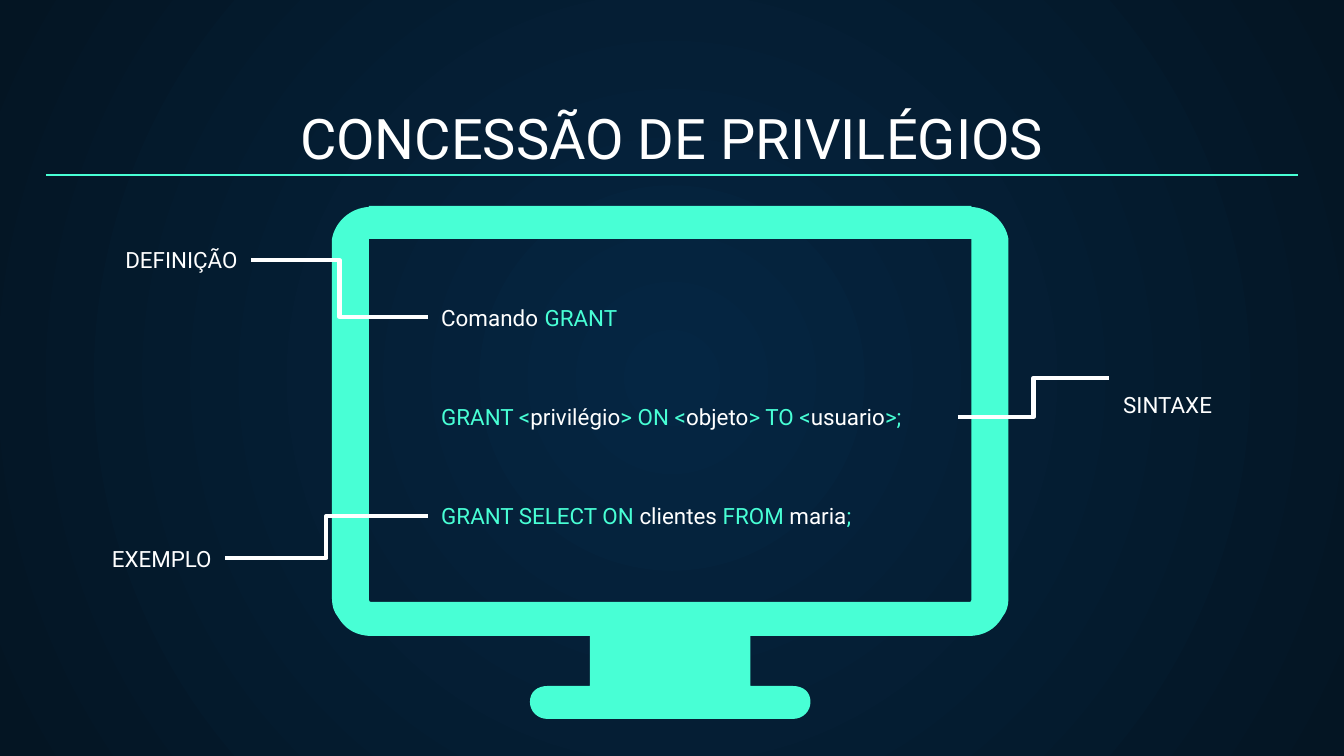
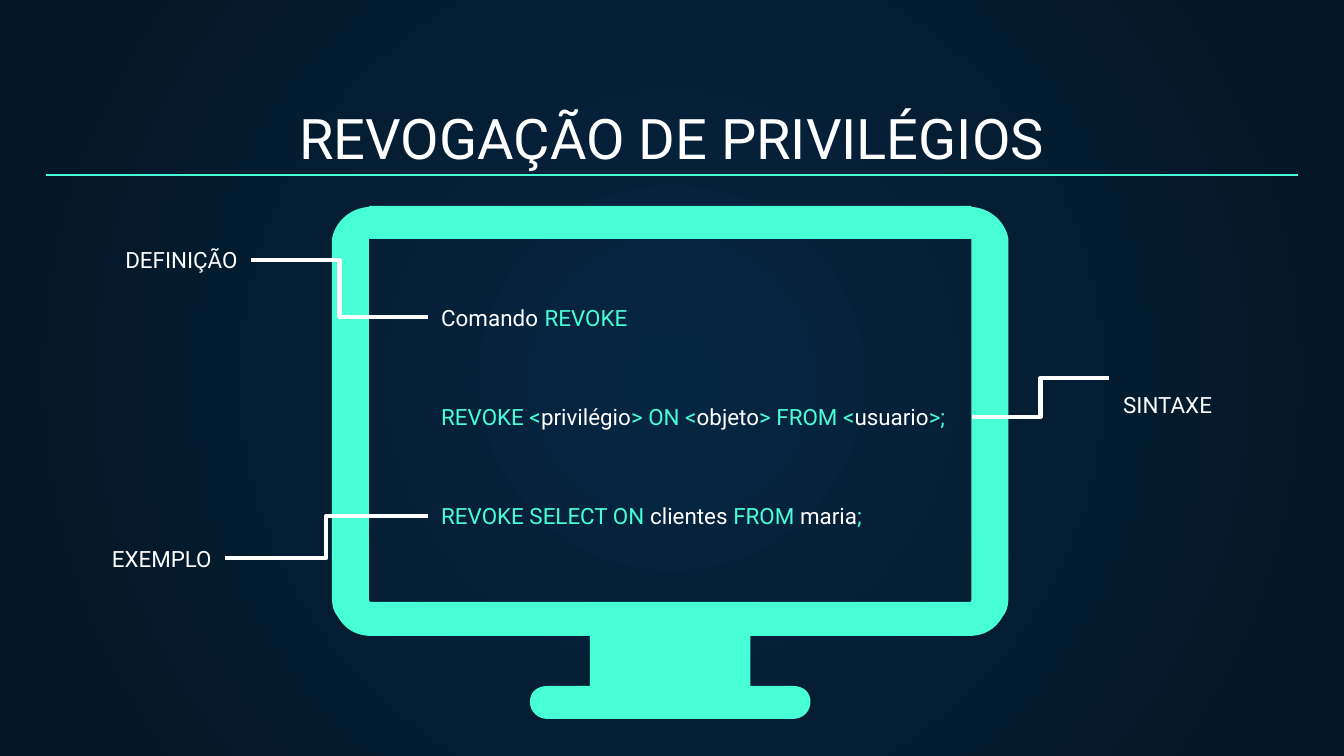
import pptx
import pptx.util
import pptx.dml.color
import pptx.enum.shapes
import pptx.enum.text
import pptx.oxml
import pptx.oxml.ns
from lxml import etree

SCALE = 914400 / 134.4  # EMU per px
FONT = "Roboto"
COLOURS = {
    "mint": "48FFD5",
    "white": "FFFFFF",
    "black": "000000",
    "centre": "052643",
    "edge": "041523",
}
ALIGN = pptx.enum.text.PP_ALIGN
ANCHOR = pptx.enum.text.MSO_ANCHOR
FIT = pptx.enum.text.MSO_AUTO_SIZE
CONNECTOR = pptx.enum.shapes.MSO_CONNECTOR
qn = pptx.oxml.ns.qn

# title, command, preposition of the syntax line, right edge of the syntax line
SLIDES = [
    ("CONCESSÃO DE PRIVILÉGIOS", "GRANT", "TO", 958),
    ("REVOGAÇÃO DE PRIVILÉGIOS", "REVOKE", "FROM", 972),
]
CODE_LEFT, LABEL_H = 428, 54
TITLE_BOX = (46, 95, 1252, 89)
RULE = (46, 175, 1298, 175)

# text, box, alignment, line spacing
LABELS = [
    ("DEFINIÇÃO", (95, 233, 156, LABEL_H), ALIGN.RIGHT, 1.0),
    ("SINTAXE", (1110, 351, 156, LABEL_H), ALIGN.LEFT, 2.0),
    ("EXEMPLO", (83, 532, 142, LABEL_H), ALIGN.RIGHT, 1.0),
]

# Left halves of the monitor's contours, top to bottom:
# points, or the two controls and the end of a curve
AXIS = 670.25
SCREEN = [(369, 239), (369, 242), (369, 600), (369, 602, 370, 602, 372, 602)]
BODY = [
    (369, 206), (369, 207), (350, 208, 335, 222, 332, 239), (332, 242),
    (332, 599), (332, 606, 334, 612, 338, 617), (345, 629, 356, 636, 372, 636),
    (590, 636), (590, 686), (548, 686),
    (537, 686, 530, 692, 530, 702), (530, 711, 537, 719, 548, 719),
]


def px(n):
    return pptx.util.Emu(round(n * SCALE))


def emu(lengths):
    return [px(n) for n in lengths]


def rgb(name):
    return pptx.dml.color.RGBColor.from_string(COLOURS[name])


def contour(half):
    """Join a left half to its mirror image; each part is a list of EMU points."""
    parts = [list(zip(part[::2], part[1::2])) for part in half]
    # Walking back, a curve's controls swap and it ends where it began.
    back = [[parts[-1][-1]]]
    for before, part in zip(parts[-2::-1], parts[:0:-1]):
        back.append(part[-2::-1] + [before[-1]])
    parts += [[(2 * AXIS - x, y) for x, y in part] for part in back]
    return [[emu(point) for point in part] for part in parts]


def add_monitor(slide):
    screen, body = contour(SCREEN), contour(BODY)
    builder = slide.shapes.build_freeform(*screen[0][-1])
    builder.add_line_segments([part[-1] for part in screen[1:]])
    builder.move_to(*body[0][-1])
    builder.add_line_segments([part[-1] for part in body[1:]])
    sp = builder.convert_to_shape()
    segments = list(sp.element.iter(qn("a:lnTo")))
    closing = [part for outline in (screen, body) for part in outline[1:]]
    for segment, part in zip(segments, closing):
        if len(part) == 3:
            segment.tag  # a curve takes the place of its straight chord
            curve = etree.Element(qn("a:cubicBezTo"))
            for x, y in part:
                etree.SubElement(curve, qn("a:pt"), x=str(x - sp.left), y=str(y - sp.top))
            segment.getparent().replace(segment, curve)
    sp.shadow.inherit = False
    sp.fill.solid()
    sp.fill.fore_color.rgb = rgb("mint")
    sp.line.fill.background()


def add_line(slide, kind, ends, colour, width):
    line = slide.shapes.add_connector(kind, *emu(ends))
    line.line.color.rgb = rgb(colour)
    line.line.width = pptx.util.Pt(width)
    etree.SubElement(line.element.spPr, qn("a:effectLst"))


def set_text(sp, runs, size, align=ALIGN.LEFT, spacing=1.0, anchor=ANCHOR.TOP,
             fit=FIT.SHAPE_TO_FIT_TEXT):
    """Fill a shape with runs of (text, colour) or (text, colour, size)."""
    tf = sp.text_frame
    tf.word_wrap = True
    tf.auto_size = fit
    tf.vertical_anchor = anchor
    tf.margin_left = tf.margin_right = tf.margin_top = tf.margin_bottom = pptx.util.Inches(0.1)
    p = tf.paragraphs[0]
    p.alignment = align
    p.line_spacing = spacing
    p.font.name = FONT
    p.font.size = pptx.util.Pt(size)
    for text, colour, *own_size in runs:
        r = p.add_run()
        r.text = text
        r.font.color.rgb = rgb(colour)
        if own_size:
            r.font.size = pptx.util.Pt(own_size[0])


def add_text(slide, box, runs, **style):
    set_text(slide.shapes.add_textbox(*emu(box)), runs, 12, **style)


def code_lines(command, preposition, syntax_right):
    """Boxes and runs of the three lines on the screen."""
    return [
        ((CODE_LEFT, 390, syntax_right - CODE_LEFT, LABEL_H), [
            (f"{command} <", "mint"), ("privilégio", "white"), ("> ON <", "mint"),
            ("objeto", "white"), (f"> {preposition} <", "mint"),
            ("usuario", "white"), (">;", "mint")]),
        ((CODE_LEFT, 489, 488, LABEL_H), [
            (f"{command} SELECT ON ", "mint"), ("clientes ", "white"),
            ("FROM ", "mint"), ("maria", "white"), (";", "mint")]),
        ((CODE_LEFT, 287, 356, 59), [
            ("Comando", "white"), (" ", "black", 14), (command, "mint")]),
    ]


def set_background(master):
    fill = master.background.fill
    fill.gradient()
    for stop, name in zip(fill.gradient_stops, ("centre", "edge")):
        stop.color.rgb = rgb(name)
    grad = master.element.find(".//" + qn("p:bgPr")).find(qn("a:gradFill"))
    grad.remove(grad.find(qn("a:lin")))
    grad.append(pptx.oxml.parse_xml(
        f'<a:path {pptx.oxml.ns.nsdecls("a")} path="circle">'
        '<a:fillToRect l="50000" t="50000" r="50000" b="50000"/></a:path>'))


def add_command_slide(prs, title, command, preposition, syntax_right):
    slide = prs.slides.add_slide(prs.slide_layouts[5])
    sp = slide.shapes.title
    sp.left, sp.top, sp.width, sp.height = emu(TITLE_BOX)
    set_text(sp, [(title, "white")], 30, ALIGN.CENTER, anchor=ANCHOR.BOTTOM, fit=FIT.NONE)
    add_monitor(slide)
    for text, box, align, spacing in LABELS:
        add_text(slide, box, [(text, "white")], align=align, spacing=spacing)
    for ends in [(251, 260, CODE_LEFT, 317), (225, 558, CODE_LEFT, 516),
                 (syntax_right, 417, 1109, 378)]:
        add_line(slide, CONNECTOR.ELBOW, ends, "white", 2.25)
    add_line(slide, CONNECTOR.STRAIGHT, RULE, "mint", 0.75)
    for box, runs in code_lines(command, preposition, syntax_right):
        add_text(slide, box, runs)


def main():
    prs = pptx.Presentation()
    prs.slide_width, prs.slide_height = px(1344), px(756)
    set_background(prs.slide_master)
    for content in SLIDES:
        add_command_slide(prs, *content)
    prs.save("out.pptx")


if __name__ == "__main__":
    main()
